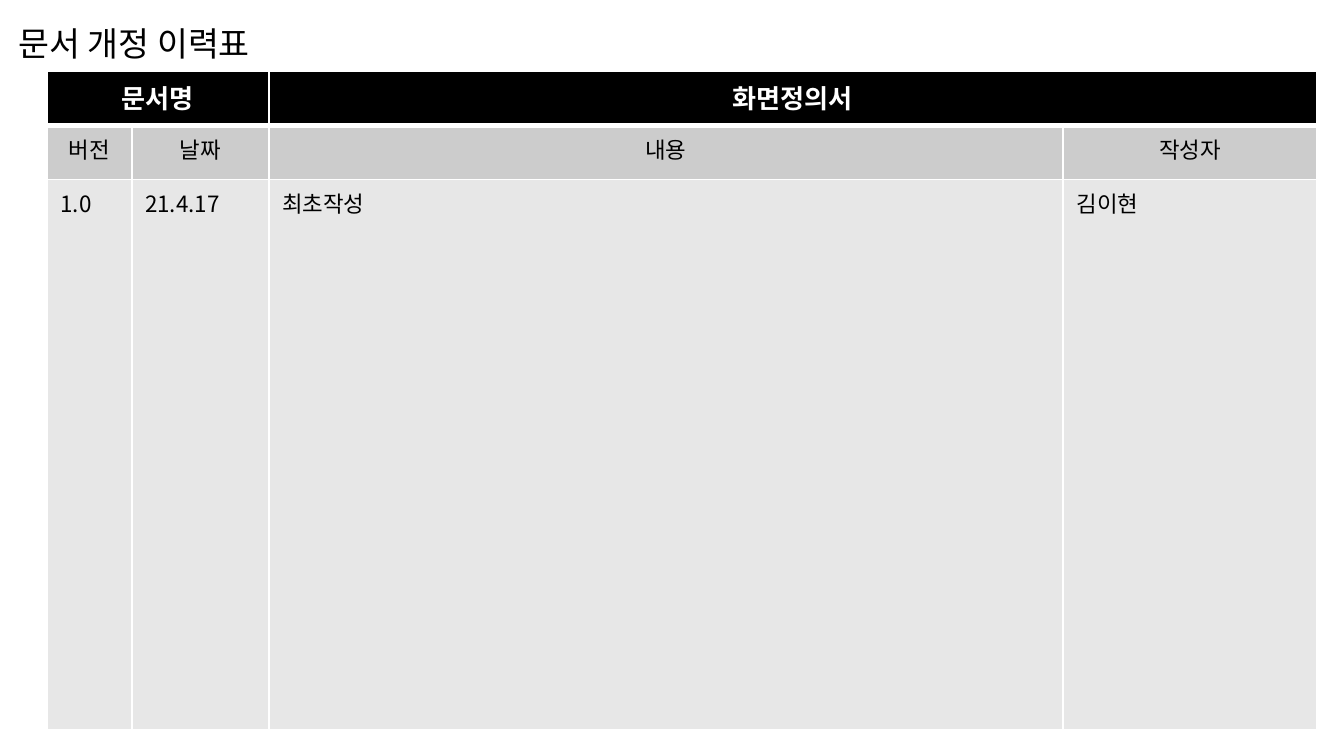
"""Build the document revision history slide."""
from lxml import etree
from pptx import Presentation
from pptx.dml.color import RGBColor
from pptx.enum import text
from pptx.oxml import ns
from pptx.util import Cm, Pt

FONT = "Noto Sans CJK KR"
BLACK = RGBColor(0x00, 0x00, 0x00)
WHITE = RGBColor(0xFF, 0xFF, 0xFF)
GREY = RGBColor(0xCC, 0xCC, 0xCC)
LIGHT = RGBColor(0xE7, 0xE7, 0xE7)
CENTER, LEFT = text.PP_ALIGN.CENTER, text.PP_ALIGN.LEFT

HEADING = "문서 개정 이력표"
COLUMN_WIDTHS = (1.6, 2.59, 15.01, 4.8)
HISTORY = [
    dict(words=("문서명", "", "화면정의서", ""), height=1.02, fill=BLACK,
         color=WHITE, size=14, bold=True, align=CENTER, top=1, bottom=3),
    dict(words=("버전", "날짜", "내용", "작성자"), height=1.02, fill=GREY,
         color=BLACK, size=12, bold=False, align=CENTER, top=3, bottom=1),
    dict(words=("1.0", "21.4.17", "최초작성", "김이현"), height=10.41, fill=LIGHT,
         color=BLACK, size=12, bold=False, align=LEFT, top=1, bottom=1),
]


def style(paragraph, size, color, bold=False, align=LEFT):
    paragraph.alignment = align
    font = paragraph.font
    font.size, font.bold, font.name = Pt(size), bold, FONT
    font.color.rgb = color
    east_asian = etree.SubElement(font._element, ns.qn("a:ea"))
    east_asian.set("typeface", FONT)


def add_border(cell, side, width):
    line = etree.SubElement(cell._tc.get_or_add_tcPr(), ns.qn(f"a:ln{side}"), w=str(Pt(width)))
    fill = etree.SubElement(line, ns.qn("a:solidFill"))
    etree.SubElement(fill, ns.qn("a:srgbClr"), val=str(WHITE))


def add_heading(slide):
    frame = slide.shapes.add_textbox(Cm(0.1), Cm(0.3), Cm(7.39), Cm(1.02)).text_frame
    frame.word_wrap = True
    frame.text = HEADING
    style(frame.paragraphs[0], 18, BLACK)


def add_history(slide):
    height = sum(row["height"] for row in HISTORY)
    history = slide.shapes.add_table(
        len(HISTORY), len(COLUMN_WIDTHS), Cm(0.89), Cm(1.35),
        Cm(sum(COLUMN_WIDTHS)), Cm(height)).table
    for column, width in zip(history.columns, COLUMN_WIDTHS):
        column.width = Cm(width)
    for r, row in enumerate(HISTORY):
        history.rows[r].height = Cm(row["height"])
        for c, word in enumerate(row["words"]):
            cell = history.cell(r, c)
            cell.text = word
            style(cell.text_frame.paragraphs[0], row["size"], row["color"],
                  row["bold"], row["align"])
            for side, width in zip("LRTB", (1, 1, row["top"], row["bottom"])):
                add_border(cell, side, width)
            cell.fill.solid()
            cell.fill.fore_color.rgb = row["fill"]
    for c in (0, 2):
        history.cell(0, c).merge(history.cell(0, c + 1))


def main():
    deck = Presentation()
    deck.slide_width, deck.slide_height = Cm(25.4), Cm(14.29)
    slide = deck.slides.add_slide(deck.slide_layouts[6])
    add_heading(slide)
    add_history(slide)
    deck.save("out.pptx")


if __name__ == "__main__":
    main()
